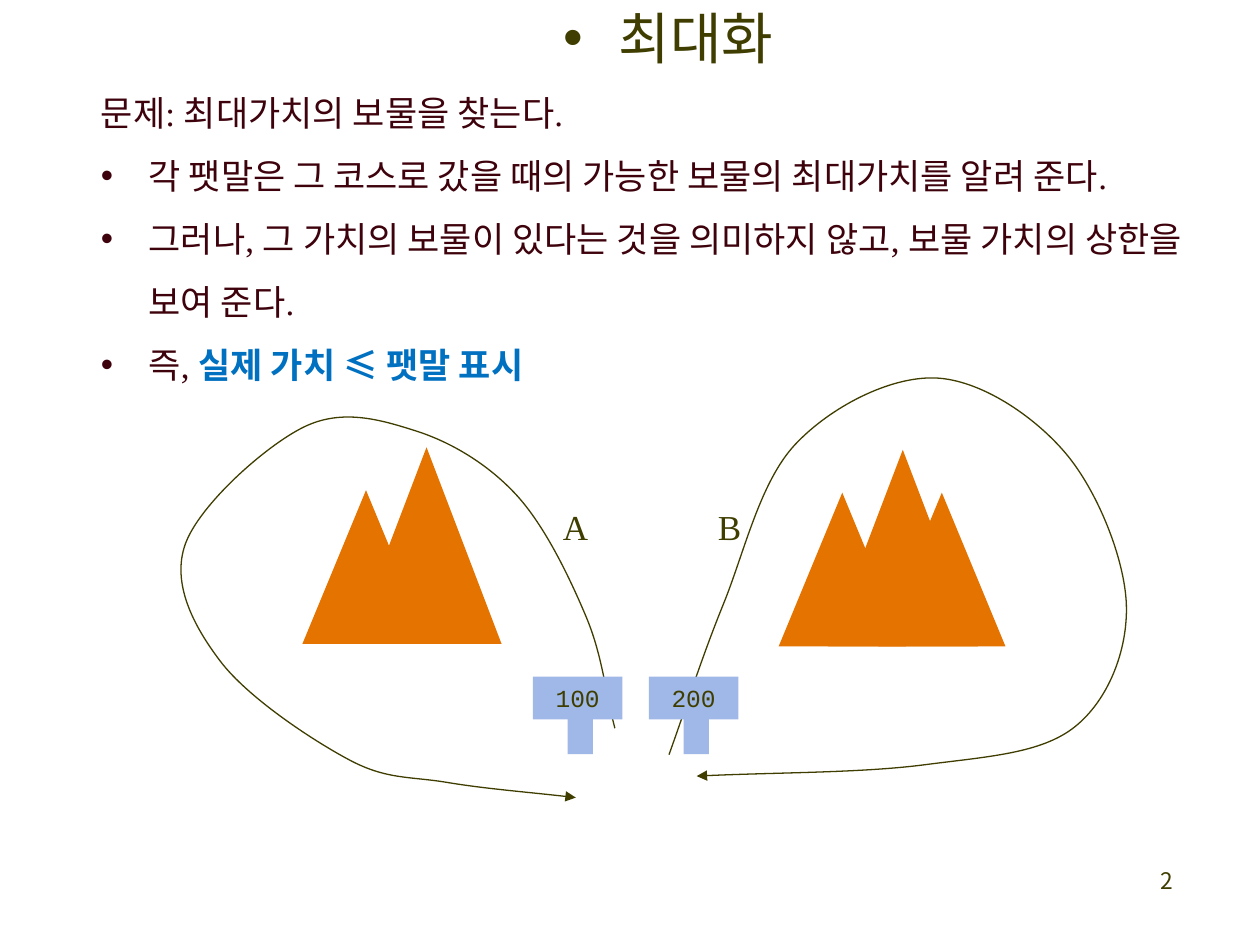
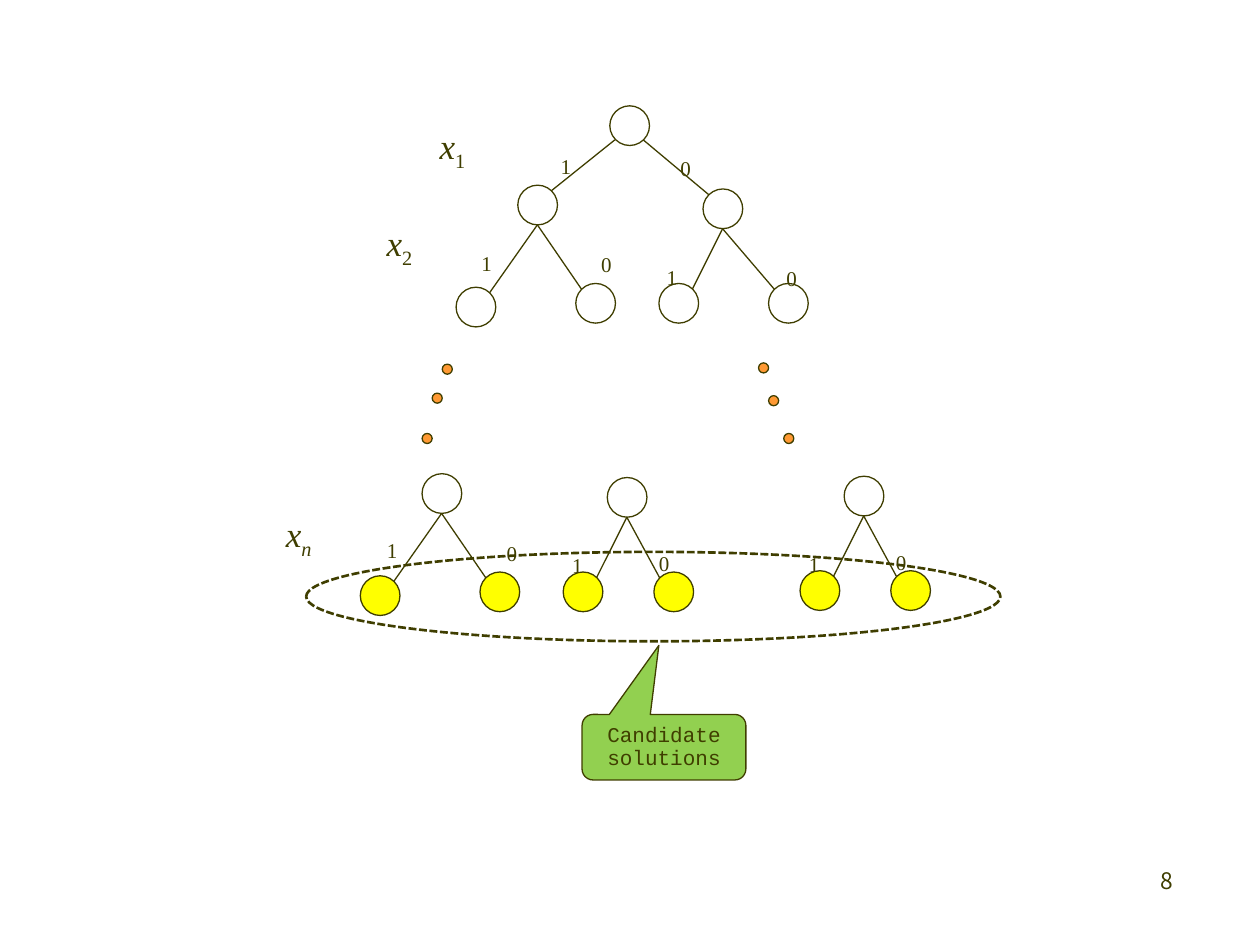
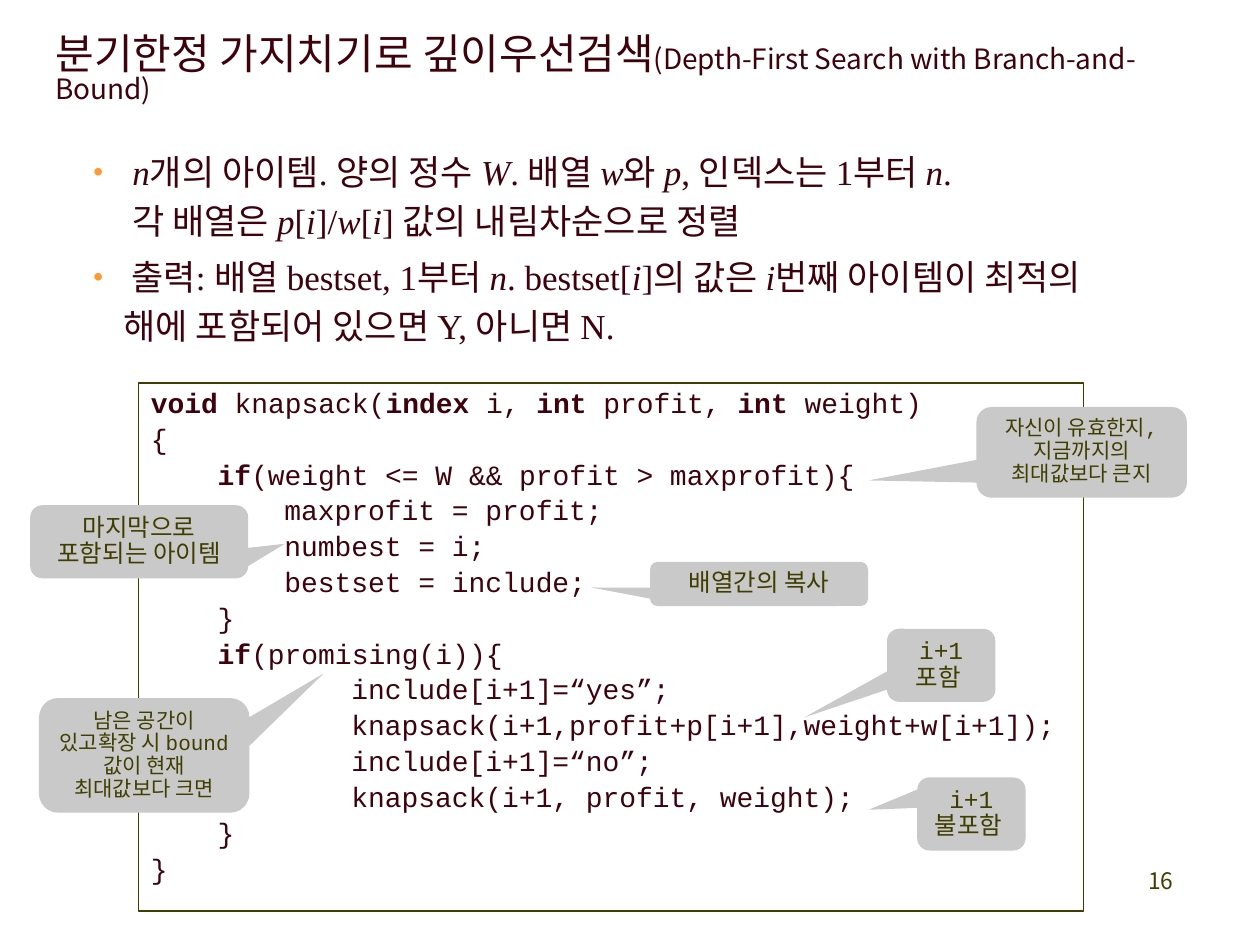
from dataclasses import dataclass
from typing import Any

from lxml import etree
from pptx import Presentation
from pptx import util as u
from pptx.dml.color import RGBColor
from pptx.enum import dml, shapes, text
from pptx.oxml import ns

KIND = shapes.MSO_SHAPE
ALIGN = text.PP_ALIGN
ANCHOR = text.MSO_ANCHOR


@dataclass(frozen=True)
class Theme:
    # colours
    ink: str = "3F3E00"
    wine: str = "3E020C"
    blue: str = "0070C0"
    hill: str = "E57300"
    sign: str = "9FB8E7"
    dot: str = "FF9933"
    leaf: str = "FFFF00"
    green: str = "92D050"
    grey: str = "C9C9C9"
    # fonts
    serif: str = "Times New Roman"
    mono: str = "Courier New"
    sans: str = "Noto Sans CJK KR"
    # type sizes
    head: int = 32
    title: int = 24
    body: int = 20
    code: int = 16
    note: int = 14
    page: int = 13
    small: int = 12
    # line spacing and widths
    lead: Any = u.Pt(28)
    thin: float = 0.75


T = Theme()


def tag(parent, name, **attrs):
    return etree.SubElement(parent, ns.qn("a:" + name), attrs)


def mark(line, **style):
    """Split at asterisks; every second piece takes the style."""
    parts = enumerate(line.split("*"))
    return [(part, style if i % 2 else {}) for i, part in parts if part]


def box(at):
    return [u.Inches(v) for v in at]


@dataclass
class Deck:
    prs: Any
    slide: Any = None

    def page(self, layout, number):
        self.slide = self.prs.slides.add_slide(self.prs.slide_layouts[layout])
        self.label((7.33, 6.83, 2.08, 0.5), str(number), T.page, font=T.sans,
                   align=ALIGN.RIGHT)

    # ---- text ----
    def frame(self, shape, anchor=ANCHOR.TOP, wrap=True, side=0.1):
        tf = shape.text_frame
        tf.word_wrap = wrap
        fit = text.MSO_AUTO_SIZE
        tf.auto_size = fit.NONE if wrap else fit.SHAPE_TO_FIT_TEXT
        tf.vertical_anchor = anchor
        tf.margin_left = tf.margin_right = u.Inches(side)
        tf.margin_top = tf.margin_bottom = u.Inches(0.05)
        return tf

    def para(self, tf, runs, size, font=T.serif, color=T.ink, align=ALIGN.LEFT,
             lead=1.0, gap=0, left=0, hang=0, dot=None):
        first = not tf.paragraphs[0].runs
        p = tf.paragraphs[0] if first else tf.add_paragraph()
        p.alignment, p.line_spacing, p.space_before = align, lead, u.Pt(0)
        props = p._p.get_or_add_pPr()
        if gap:
            before = props.find(ns.qn("a:spcBef"))
            before.clear()
            tag(before, "spcPct", val=str(gap * 1000))
        props.set("marL", str(u.Inches(left)))
        props.set("indent", str(-u.Inches(hang)))
        if hang:
            if dot:
                tag(tag(props, "buClr"), "srgbClr", val=dot)
                tag(props, "buSzPct", val="80000")
            tag(props, "buFont", typeface="Arial")
            tag(props, "buChar", char="•")
        else:
            tag(props, "buNone")
        for words, style in runs:
            self.run(p, words, {"size": size, "font": font, "color": color, **style})

    def run(self, p, words, style):
        for i, part in enumerate(words.split("\n")):
            if i:
                p.add_line_break()
            r = p.add_run()
            r.text = part
            f = r.font
            f.size, f.name = u.Pt(style["size"]), style["font"]
            f.color.rgb = RGBColor.from_string(style["color"])
            f.bold = style.get("bold", False)
            f.italic = style.get("italic", False)
            props = f._element
            tag(props, "ea", typeface=T.sans)
            if style.get("sub"):
                props.set("baseline", "-25000")

    def label(self, at, words, size, wrap=True, side=0.1, **kw):
        tf = self.frame(self.slide.shapes.add_textbox(*box(at)), wrap=wrap, side=side)
        runs = [(words, {})] if isinstance(words, str) else words
        self.para(tf, runs, size, **kw)

    def holder(self, index, at, **kw):
        shape = self.slide.placeholders[index]
        shape.left, shape.top, shape.width, shape.height = box(at)
        return self.frame(shape, **kw)

    # ---- shapes ----
    def line(self, part, color=T.ink, width=T.thin):
        part.line.color.rgb = RGBColor.from_string(color)
        part.line.width = u.Pt(width)

    def shape(self, kind, at, fill=None, line=True, into=None):
        item = (into or self.slide).shapes.add_shape(kind, *box(at))
        item.shadow.inherit = False
        if fill:
            item.fill.solid()
            item.fill.fore_color.rgb = RGBColor.from_string(fill)
        else:
            item.fill.background()
        if line:
            self.line(item)
        else:
            item.line.fill.background()
        return item

    def edge(self, start, end):
        wire = self.slide.shapes.add_connector(
            shapes.MSO_CONNECTOR.STRAIGHT, *box(start + end))
        self.line(wire)
        tag(wire._element.spPr, "effectLst")

    def callout(self, at, tip, words, size, fill=T.grey, line=False, anchor=ANCHOR.TOP):
        item = self.shape(KIND.ROUNDED_RECTANGULAR_CALLOUT, at, fill, line)
        for i, v in enumerate(tip + (0.167,)):
            item.adjustments[i] = v
        self.para(self.frame(item, anchor), [(words, {})], size, T.mono,
                  align=ALIGN.CENTER, lead=0.9, gap=20)

    def curve(self, knots):
        """Smooth arrow through the knots."""
        unit = 1000
        pts = [(x * unit, y * unit) for x, y in knots]
        pen = self.slide.shapes.build_freeform(*pts[0], scale=914400 / unit)
        pen.add_line_segments(pts[1:], close=False)
        item = pen.convert_to_shape()
        item.shadow.inherit = False
        item.fill.background()
        self.line(item)
        tag(item.line._get_or_add_ln(), "tailEnd", type="triangle")

        # Turn each straight segment into a Bezier with tangents from its neighbours
        low = [min(axis) for axis in zip(*pts)]
        ends = [tuple(2 * a - b for a, b in zip(*pair))
                for pair in (pts[:2], pts[:-3:-1])]
        run = [ends[0], *pts, ends[1]]
        trail = item._element.spPr.find(".//" + ns.qn("a:path"))
        for seg in trail.findall(ns.qn("a:lnTo")):
            trail.remove(seg)
        for a, b, c, d in zip(run, run[1:], run[2:], run[3:]):
            one = [q + (r - p) / 6 for p, q, r in zip(a, b, c)]
            two = [r - (s - q) / 6 for q, r, s in zip(b, c, d)]
            bend = tag(trail, "cubicBezTo")
            for pt in (one, two, c):
                x, y = (str(round(v - m)) for v, m in zip(pt, low))
                tag(bend, "pt", x=x, y=y)

    # ---- drawings ----
    def sign(self, left, words):
        group = self.slide.shapes.add_group_shape()
        board = self.shape(KIND.RECTANGLE, (left, 5.37, 0.71, 0.34), T.sign, False, group)
        self.para(self.frame(board, ANCHOR.MIDDLE), [(words, {})], T.note, T.mono,
                  align=ALIGN.CENTER)
        post = self.shape(KIND.RECTANGLE, (left + 0.21, 5.72, 0.33, 0.2), T.sign,
                          False, group)
        post.rotation = 90

    def node(self, at, fill=None, size=0.315):
        self.shape(KIND.OVAL, at + (size, size), fill)

    def branch(self, top, kids, digits, fill=None, fork=((0.155, 0.315),) * 2):
        """Two children with their edges and the digits 1 and 0."""
        for kid, out, inn, spot, digit in zip(
                kids, fork, ((0.265, 0.045), (0.045, 0.045)), digits, "10"):
            self.node(kid, fill)
            self.edge((top[0] + out[0], top[1] + out[1]),
                      (kid[0] + inn[0], kid[1] + inn[1]))
            self.label(spot + (0.11, 0.44), digit, T.small, side=0,
                       lead=T.lead, gap=20)


prs = Presentation()
prs.slide_width, prs.slide_height = u.Inches(10), u.Inches(7.5)
deck = Deck(prs)

# ---- Slide 1: maximising ----
deck.page(1, 2)
tf = deck.holder(0, (4.37, 0.12, 1.93, 0.49), wrap=False)
deck.para(tf, [("최대화", {})], T.head, lead=T.lead, left=0.44, hang=0.44)

tf = deck.holder(1, (0.7, 0.51, 8.91, 2.62))
key = {"color": T.blue, "bold": True}
lines = [
    [("문제: 최대가치의 보물을 찾는다.", {})],
    [("각 팻말은 그 코스로 갔을 때의 가능한 보물의 최대가치를 알려 준다.", {})],
    [("그러나, 그 가치의 보물이 있다는 것을 의미하지 않고, "
      "보물 가치의 상한을 보여 준다.", {})],
    [("즉, ", {}), ("실제 가치 ", key), ("≤ ", {**key, "font": T.sans}),
     ("팻말 표시", key)],
]
for i, runs in enumerate(lines):
    ind = 0.38 if i else 0
    deck.para(tf, runs, T.body, color=T.wine, lead=1.5, left=ind, hang=ind)

# Mountains: a small and a big peak, the right one with a third
small, big = (1.01, 1.22), (1.19, 1.56)
for x, y, size in ((2.4, 3.89, small), (2.79, 3.55, big), (6.18, 3.91, small),
                   (6.57, 3.57, big), (6.97, 3.91, small)):
    deck.shape(KIND.ISOSCELES_TRIANGLE, (x, y) + size, T.hill, False)

# Courses round the mountains
deck.curve([(4.88, 5.78), (4.65, 4.89), (4.1, 3.93), (3.3, 3.42), (2.41, 3.39),
            (1.47, 4.32), (1.75, 5.25), (2.77, 6.03), (3.55, 6.21), (4.57, 6.33)])
deck.curve([(5.31, 5.99), (5.74, 4.8), (6.31, 3.53), (7.42, 3), (8.46, 3.6),
            (8.94, 4.8), (8.53, 5.77), (7.34, 6.07), (5.53, 6.16)])
for x, name, post, worth in ((4.37, "A", 4.23, "100"), (5.6, "B", 5.15, "200")):
    deck.sign(post, worth)
    deck.label((x, 3.91, 0.4, 0.46), name, T.body, wrap=False, lead=T.lead)

# ---- Slide 2: state space tree ----
deck.page(6, 8)
root, yes, no = (4.84, 0.84), (4.11, 1.47), (5.58, 1.5)
deck.node(root)
deck.branch(root, (yes, no), ((4.45, 0.98), (5.4, 1)),
            fork=((0.04, 0.27), (0.265, 0.27)))
deck.branch(yes, ((3.62, 2.28), (4.57, 2.25)), ((3.82, 1.75), (4.77, 1.76)))
deck.branch(no, ((5.23, 2.25), (6.1, 2.25)), ((5.29, 1.86), (6.24, 1.87)))

# Skipped levels
for spot in ((3.51, 2.89), (3.43, 3.12), (3.35, 3.44),
             (6.02, 2.88), (6.1, 3.14), (6.22, 3.44)):
    deck.node(spot, T.dot, 0.08)

# Last level
for top, kids, digits in (
        ((3.35, 3.76), ((2.86, 4.57), (3.81, 4.54)), ((3.07, 4.03), (4.02, 4.05))),
        ((4.82, 3.79), ((4.47, 4.54), (5.19, 4.54)), ((4.54, 4.15), (5.23, 4.13))),
        ((6.7, 3.78), ((6.35, 4.53), (7.07, 4.53)), ((6.42, 4.14), (7.11, 4.12)))):
    deck.node(top)
    deck.branch(top, kids, digits, T.leaf)

# Variable of each level
for x, y, sub in ((3.39, 0.93, "1"), (2.97, 1.7, "2"), (2.17, 4.01, "n")):
    deck.label((x, y, 0.42, 0.46),
               [("x", {"italic": True}), (sub, {"sub": True, "italic": sub == "n"})],
               T.body, wrap=False, lead=T.lead, gap=20)

deck.callout((4.62, 5.67, 1.3, 0.52), (-0.031, -1.554), "Candidate solutions",
             T.small, T.green, True, ANCHOR.MIDDLE)
ring = deck.shape(KIND.OVAL, (2.43, 4.38, 5.51, 0.71))
deck.line(ring, width=1.5)
ring.line.dash_style = dml.MSO_LINE.SQUARE_DOT

# ---- Slide 3: depth-first search ----
deck.page(1, 16)
tf = deck.holder(0, (0.34, 0.18, 9.33, 0.77), anchor=ANCHOR.MIDDLE)
deck.para(tf, [("분기한정 가지치기로 깊이우선검색", {}),
               ("(Depth-First Search with Branch-and-Bound)", {"size": T.code})],
          T.title, T.sans, T.wine, lead=0.8)

# Code
code = [
    (0, "*void* knapsack(*index* i, *int* profit, *int* weight)"),
    (0, "{"),
    (1, "*if*(weight <= W && profit > maxprofit){"),
    (2, "maxprofit = profit;"),
    (2, "numbest = i;"),
    (2, "bestset = include;"),
    (1, "}"),
    (1, "*if*(promising(i)){"),
    (3, "include[i+1]=“yes”;"),
    (3, "knapsack(i+1,profit+p[i+1],weight+w[i+1]);"),
    (3, "include[i+1]=“no”;"),
    (3, "knapsack(i+1, profit, weight);"),
    (1, "}"),
    (0, "}"),
]
tf = deck.frame(deck.shape(KIND.RECTANGLE, (1.1, 3.04, 7.5, 4.19)))
for level, line in code:
    deck.para(tf, mark(line, bold=True), T.code, T.mono, T.wine,
              lead=0.9, gap=20, left=level * 0.53)

# Input and output
tf = deck.holder(1, (0.64, 1.09, 8.52, 1.74))
for line in (
        " *n*개의 아이템. 양의 정수 *W*. 배열 *w*와 *p*, 인덱스는 1부터 *n*. \n"
        " 각 배열은 *p*[*i*]/*w*[*i*] 값의 내림차순으로 정렬",
        " 출력: 배열 bestset, 1부터 *n*. bestset[*i*]의 값은 *i*번째 아이템이 "
        "최적의 해에 포함되어 있으면 Y, 아니면 N."):
    deck.para(tf, mark(line, italic=True), T.body, color=T.wine, lead=T.lead,
              gap=20, left=0.24, hang=0.24, dot=T.dot)

# Remarks on the code
for at, tip, words, size in (
        ((7.04, 4.99, 0.86, 0.58), (-1.263, 0.713), "i+1 포함 ", T.note),
        ((7.28, 6.17, 0.86, 0.58), (-0.949, -0.057), "i+1 불포함 ", T.note),
        ((7.75, 3.23, 1.67, 0.72), (-1.013, 0.31),
         "자신이 유효한지, 지금까지의 최대값보다 큰지", T.small),
        ((0.31, 5.54, 1.67, 0.91), (0.853, -0.715),
         "남은 공간이 있고확장 시 bound 값이 현재 최대값보다 크면", T.small),
        ((5.16, 4.46, 1.73, 0.35), (-0.77, 0.08), "배열간의 복사", T.note),
        ((0.24, 4.01, 1.73, 0.58), (0.668, 0.028), "마지막으로 포함되는 아이템", T.note)):
    deck.callout(at, tip, words, size)

# The blank layout parts leave an unused title
for slide in prs.slides:
    for spare in list(slide.placeholders):
        if not spare.text_frame.text:
            spare._element.getparent().remove(spare._element)

prs.save("out.pptx")
